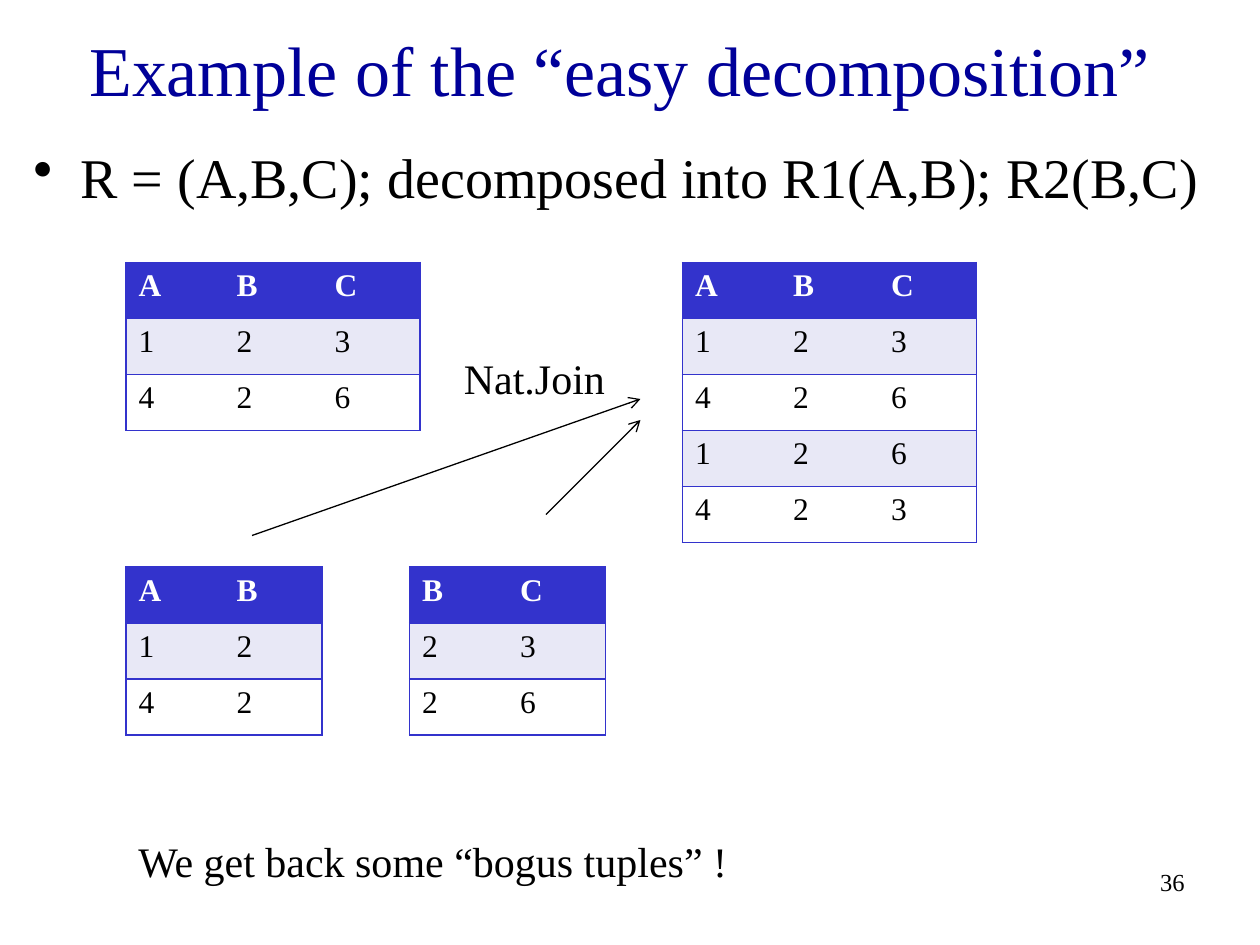
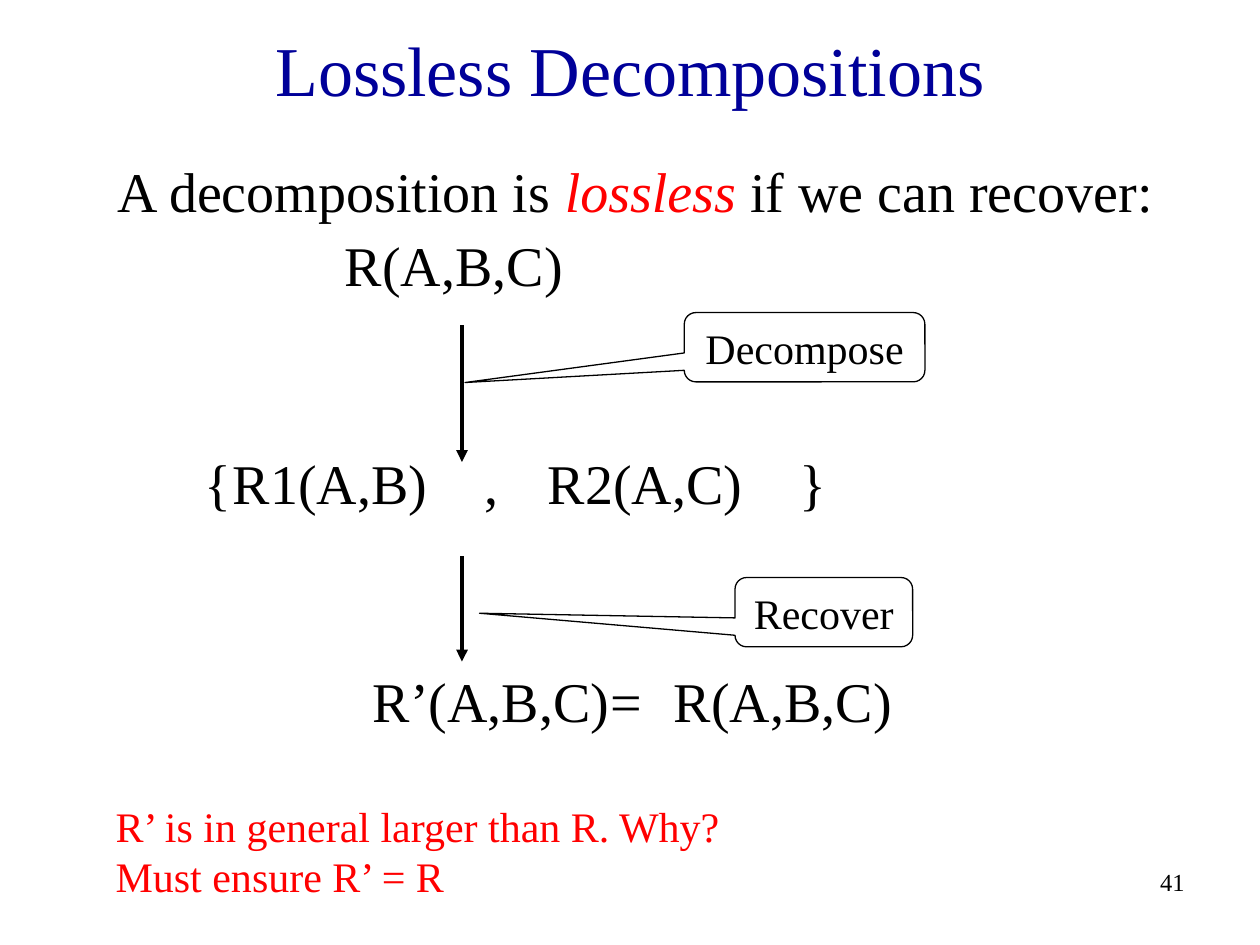
import pptx
import pptx.util
import pptx.dml.color
import pptx.enum.shapes
import pptx.enum.text
import pptx.oxml
import pptx.oxml.ns

Pt = pptx.util.Pt
ALIGN = pptx.enum.text.PP_ALIGN
ANCHOR = pptx.enum.text.MSO_ANCHOR
SHAPE = pptx.enum.shapes.MSO_SHAPE

COLORS = {"title": "000099", "text": "000000", "accent": "FF0000",
          "header": "3333CC", "band": "E8E8F6", "paper": "FFFFFF"}
FONT = "Times New Roman"
BODY = 32
NOTE = 24
COL_W = 56
ROW_H = 32


def rgb(name):
    return pptx.dml.color.RGBColor.from_string(COLORS[name])


def set_all(obj, values):
    for key, value in values.items():
        setattr(obj, key, value)


def add_xml(parent, xml):
    ns = pptx.oxml.ns.nsdecls("a")
    head, tail = xml.split(" ", 1)
    parent.append(pptx.oxml.parse_xml(f"{head} {ns} {tail}"))


def add_run(p, text, size, color="text", **style):
    r = p.add_run()
    r.text = text
    set_all(r.font, {"name": FONT, "size": Pt(size), **style})
    r.font.color.rgb = rgb(color)


def add_text(s, box, lines, size, color="text", align=ALIGN.LEFT, **frame):
    """Text box with one paragraph per line; returns its paragraphs."""
    tf = s.shapes.add_textbox(*map(Pt, box)).text_frame
    set_all(tf, {"word_wrap": True, **frame})
    for i, line in enumerate(lines):
        p = tf.paragraphs[0] if i == 0 else tf.add_paragraph()
        p.alignment = align
        add_run(p, line, size, color)
    return tf.paragraphs


# Parts shared by both slides
def new_slide(prs, title, title_box, number):
    s = prs.slides.add_slide(prs.slide_layouts[6])
    s.background.fill.solid()
    s.background.fill.fore_color.rgb = rgb("paper")
    add_text(s, title_box, [title], 40, "title", ALIGN.CENTER,
             vertical_anchor=ANCHOR.MIDDLE)
    add_text(s, (534, 492, 150, 36), [str(number)], 14, align=ALIGN.RIGHT)
    return s


def add_arrow(s, start, end, width, head):
    line = s.shapes.add_connector(pptx.enum.shapes.MSO_CONNECTOR.STRAIGHT,
                                  *map(Pt, start + end))
    line.line.width = Pt(width)
    line.line.color.rgb = rgb("text")
    add_xml(line.line._get_or_add_ln(), f'<a:tailEnd type="{head}"/>')
    add_xml(line._element.spPr, "<a:effectLst />")


# Relation table: ruled rows, framed outside, no inner verticals
def add_border(cell, side, visible):
    paint = (f'<a:solidFill><a:srgbClr val="{COLORS["header"]}"/></a:solidFill>'
             if visible else "<a:noFill/>")
    add_xml(cell._tc.get_or_add_tcPr(),
            f'<a:ln{side} w="{Pt(1)}">{paint}</a:ln{side}>')


def add_relation(s, left, top, rows):
    """Each row is a string with one character per column."""
    cols = len(rows[0])
    table = s.shapes.add_table(len(rows), cols, Pt(left), Pt(top),
                               Pt(cols * COL_W), Pt(len(rows) * ROW_H)).table
    for row in table.rows:
        row.height = Pt(ROW_H)
    for i, values in enumerate(rows):
        fill = "header" if i == 0 else "band" if i % 2 else "paper"
        for j, value in enumerate(values):
            cell = table.cell(i, j)
            add_run(cell.text_frame.paragraphs[0], value, 18,
                    "text" if i else "paper", bold=i == 0)
            edges = {"L": j == 0, "R": j == cols - 1, "T": True, "B": True}
            for side, visible in edges.items():
                add_border(cell, side, visible)
            cell.fill.solid()
            cell.fill.fore_color.rgb = rgb(fill)


def add_callout(s, box, text, tip):
    sp = s.shapes.add_shape(SHAPE.ROUNDED_RECTANGULAR_CALLOUT, *map(Pt, box))
    sp.shadow.inherit = False
    sp.fill.solid()
    sp.fill.fore_color.rgb = rgb("paper")
    sp.line.color.rgb = rgb("text")
    sp.line.width = Pt(0.75)
    for i, value in enumerate((*tip, 0.167)):
        sp.adjustments[i] = value
    set_all(sp.text_frame, {"word_wrap": False, "vertical_anchor": ANCHOR.TOP})
    p = sp.text_frame.paragraphs[0]
    p.alignment = ALIGN.CENTER
    add_run(p, text, NOTE)


# Derivation: each line has an indent, tab stops, space before and runs
def add_derivation(s, box, lines):
    tf = s.shapes.add_textbox(*map(Pt, box)).text_frame
    tf.word_wrap = True
    for i, (indent, stops, before, runs) in enumerate(lines):
        p = tf.paragraphs[0] if i == 0 else tf.add_paragraph()
        pPr = p._p.get_or_add_pPr()
        set_all(p, {"line_spacing": 0.9, "space_before": Pt(before)})
        pPr.set("marL", "0")
        pPr.set("indent", str(Pt(indent)))
        if stops:
            tabs = "".join(f'<a:tab pos="{Pt(x)}" algn="l"/>' for x in stops)
            add_xml(pPr, f"<a:tabLst >{tabs}</a:tabLst>")
        for text, style in runs:
            add_run(p, text, BODY, **style)


def build_easy_decomposition(prs):
    s = new_slide(prs, "Example of the “easy decomposition”",
                  (12, 12, 684, 54), 36)
    # Statement
    p = add_text(s, (12, 78, 684, 50),
                 ["R = (A,B,C); decomposed into R1(A,B); R2(B,C)"], BODY)[0]
    pPr = p._p.get_or_add_pPr()
    pPr.set("marL", str(Pt(27)))
    pPr.set("indent", str(Pt(-27)))
    add_xml(pPr, '<a:buChar char="•"/>')
    # Relation, its two projections and their join
    r = ["ABC", "123", "426"]
    add_relation(s, 72, 150, r)
    add_relation(s, 72, 324, [row[:2] for row in r])
    add_relation(s, 234, 324, [row[1:] for row in r])
    add_relation(s, 390, 150, r + ["126", "423"])
    add_arrow(s, (144, 306), (366, 228), 0.75, "arrow")
    add_arrow(s, (312, 294), (366, 240), 0.75, "arrow")
    add_text(s, (258, 198, 97, 36), ["Nat.Join"], NOTE)
    # Conclusion
    add_text(s, (72, 474, 360, 36), ["We get back some “bogus tuples” !"],
             NOTE, word_wrap=False)


def build_lossless(prs):
    s = new_slide(prs, "Lossless Decompositions", (54, 18, 612, 42), 41)
    # Derivation; the wide gaps leave room for the arrows
    near, far = 8, 90
    add_derivation(s, (54, 90, 630, 360), [
        (6.2, [], 0, [("A decomposition is ", {}),
                      ("lossless", {"color": "accent", "italic": True}),
                      (" if we can recover:", {})]),
        (136, [], near, [("R(A,B,C)", {})]),
        (56, [87.4, 214.5, 254.5, 389.6], far,
         [("{\tR1(A,B)\t,\tR2(A,C)\t}", {})]),
        (152, [311, 345], far, [("R’(A,B,C)\t=\tR(A,B,C)", {})]),
    ])
    # Steps
    add_arrow(s, (264, 186), (264, 264), 2.25, "triangle")
    add_arrow(s, (264, 318), (264, 378), 2.25, "triangle")
    add_callout(s, (391, 178.6, 137.5, 39.6), "Decompose", (-1.411, 0.51))
    add_callout(s, (420, 330, 101.5, 39.6), "Recover", (-1.938, 0.016))
    # Question
    add_text(s, (59, 453.6, 369, 65.5),
             ["R’ is in general larger than R. Why?", "Must ensure R’ = R"],
             NOTE, "accent", word_wrap=False)


def main():
    prs = pptx.Presentation()
    set_all(prs, {"slide_width": Pt(720), "slide_height": Pt(540)})
    build_easy_decomposition(prs)
    build_lossless(prs)
    prs.save("out.pptx")


if __name__ == "__main__":
    main()
